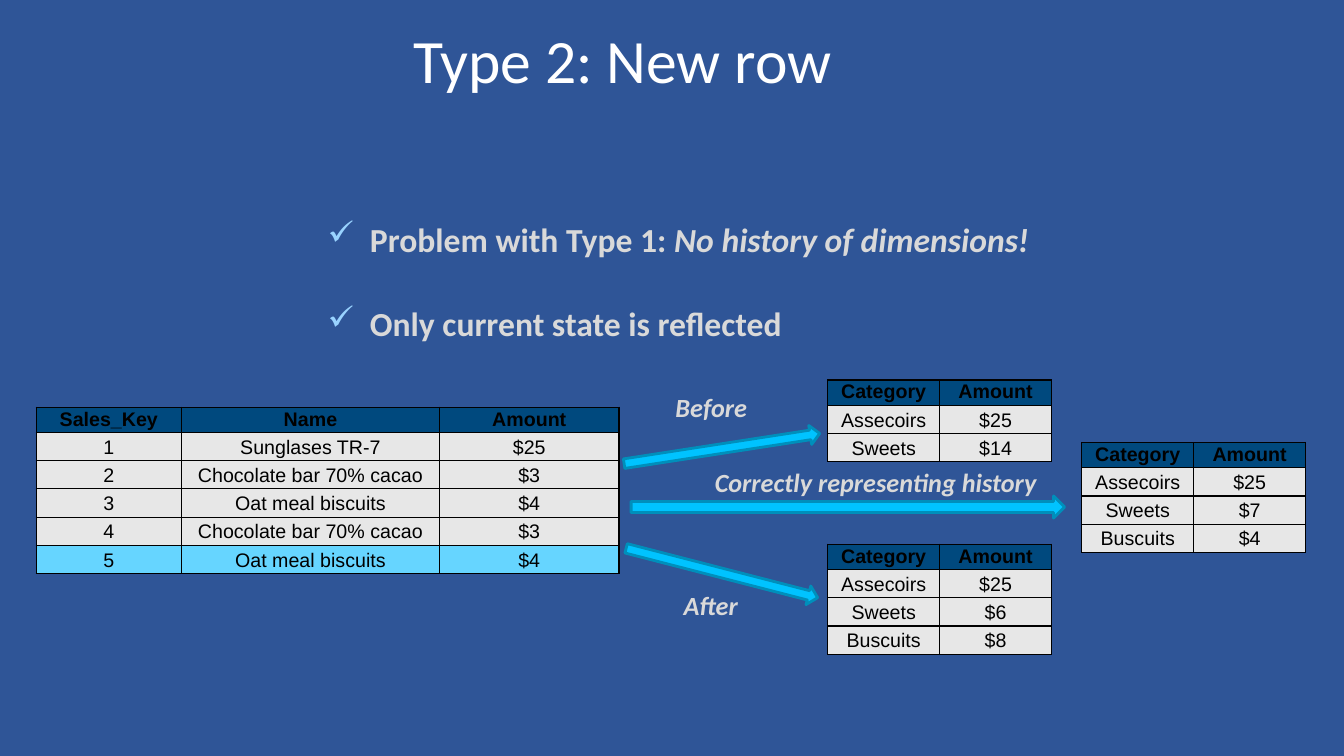
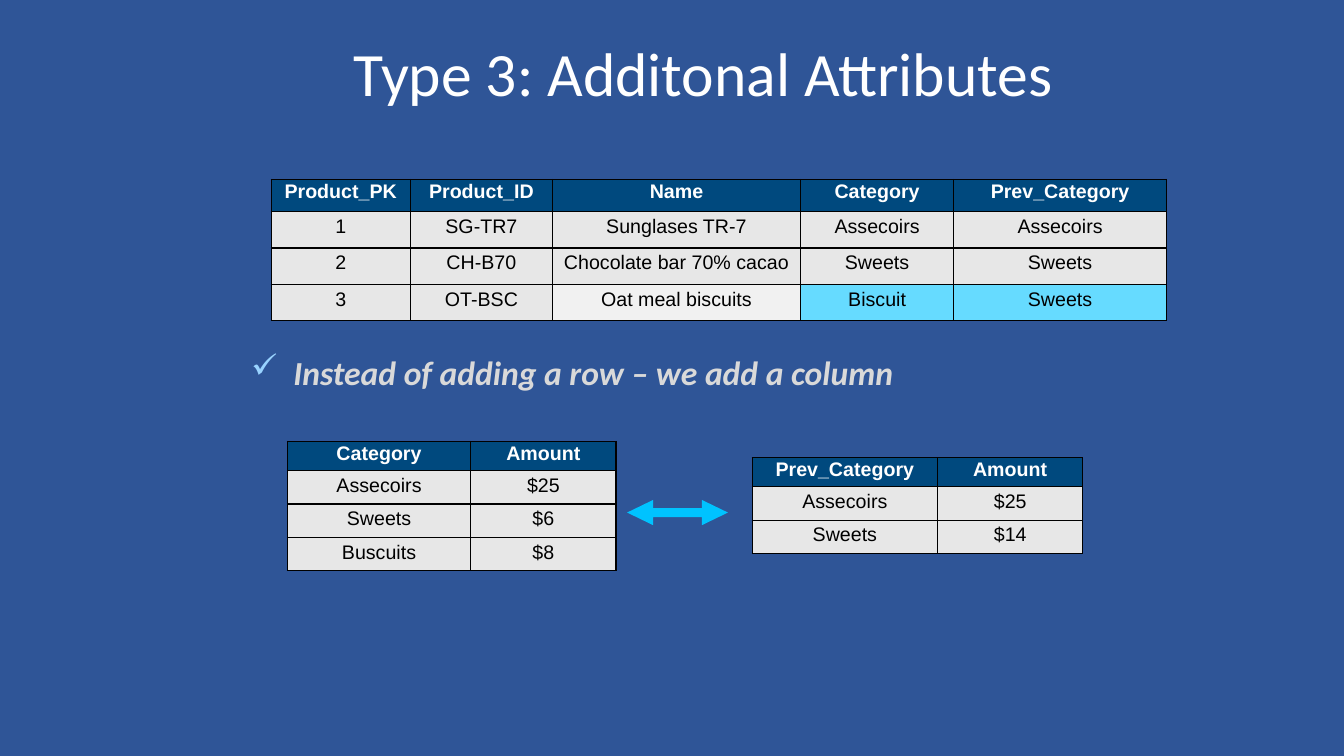
"""Build two slides on slowly changing dimensions: new rows and additional attributes."""
from dataclasses import dataclass, field
from math import atan2, degrees, hypot
from typing import Any, NamedTuple

from lxml.etree import SubElement
from pptx import Presentation
from pptx.dml.color import RGBColor
from pptx.enum.shapes import MSO_SHAPE as Preset
from pptx.enum.text import MSO_ANCHOR as Anchor, PP_ALIGN as Align
from pptx.oxml.ns import qn
from pptx.slide import Slide
from pptx.text.text import TextFrame
from pptx.util import Inches, Pt

BACKDROP = RGBColor(0x2F, 0x55, 0x97)
WHITE = RGBColor(0xFF, 0xFF, 0xFF)
BLACK = RGBColor(0x00, 0x00, 0x00)
SOFT_GREY = RGBColor(0xD9, 0xD9, 0xD9)
HEADER_BLUE = RGBColor(0x00, 0x49, 0x7E)
CELL_GREY = RGBColor(0xE7, 0xE7, 0xE7)
CELL_PALE = RGBColor(0xF1, 0xF1, 0xF1)
NEW_ROW = RGBColor(0x66, 0xD5, 0xFF)
NEW_VALUE = RGBColor(0x66, 0xDB, 0xFF)
ARROW_FILL = RGBColor(0x00, 0xC3, 0xFF)
ARROW_EDGE = RGBColor(0x00, 0x8F, 0xBB)
CHECK_BLUE = RGBColor(0x99, 0xD3, 0xFF)

TITLE_FONT = {"name": "Calibri", "size": Pt(44)}
POINT_FONT = {"name": "Calibri", "size": Pt(24), "bold": True}
LABEL_FONT = {"name": "Calibri", "size": Pt(18.7), "bold": True, "italic": True}
CELL_FONT = {"name": "Arial", "size": Pt(14)}
CELL_EDGES = ("lnL", "lnR", "lnT", "lnB")


class Phrase(NamedTuple):
    """A stretch of a check point, plain or italic."""
    text: str
    italic: bool = False


class Label(NamedTuple):
    """A caption beside an arrow."""
    text: str
    left: float
    top: float
    width: float


class Arrow(NamedTuple):
    """A block arrow between two points."""
    tail: tuple[float, float]
    tip: tuple[float, float]
    breadth: float


@dataclass
class Grid:
    """A table with its place, measures and highlighted cells."""
    left: float
    top: float
    columns: tuple[float, ...]
    header_height: float
    row_height: float
    rows: list[tuple[str, ...]]
    header_color: RGBColor = WHITE
    highlights: dict[tuple[int, int], RGBColor] = field(default_factory=dict)


def set_values(target: Any, values: dict[str, Any]) -> None:
    """Set each named attribute of the target."""
    for name, value in values.items():
        setattr(target, name, value)


def add_text_frame(slide: Slide, left: float, top: float, width: float,
                   height: float, indent: float = 0.02) -> TextFrame:
    """Add a wrapping text box and return its frame."""
    frame = slide.shapes.add_textbox(
        Inches(left), Inches(top), Inches(width), Inches(height)).text_frame
    set_values(frame, {"word_wrap": True, "margin_left": Inches(indent),
                       "margin_top": Inches(0.02), "margin_right": 0,
                       "margin_bottom": 0})
    return frame


def add_title(slide: Slide, text: str, left: float, top: float,
              width: float, indent: float) -> None:
    """Add the slide title."""
    frame = add_text_frame(slide, left, top, width, 0.76, indent)
    frame.vertical_anchor = Anchor.MIDDLE
    title = frame.paragraphs[0]
    title.text = text
    set_values(title.font, TITLE_FONT)
    title.font.color.rgb = WHITE


def add_check_points(slide: Slide, left: float, top: float, width: float,
                     height: float, points: list[list[Phrase]]) -> None:
    """Add a list of points marked with check signs."""
    frame = add_text_frame(slide, left, top, width, height, 0)
    for index, phrases in enumerate(points):
        point = frame.add_paragraph() if index else frame.paragraphs[0]
        properties = point._p.get_or_add_pPr()
        properties.set("marL", str(Inches(0.44)))
        properties.set("indent", str(Inches(-0.42)))
        mark_color = SubElement(properties, qn("a:buClr"))
        SubElement(mark_color, qn("a:srgbClr"), val=str(CHECK_BLUE))
        SubElement(properties, qn("a:buChar"), char="✓")
        if index:
            point.space_before = Pt(31.4)
        for phrase in phrases:
            run = point.add_run()
            run.text = phrase.text
            set_values(run.font, POINT_FONT | {"italic": phrase.italic})
            run.font.color.rgb = SOFT_GREY


def add_label(slide: Slide, label: Label) -> None:
    """Add an arrow caption."""
    frame = add_text_frame(slide, label.left, label.top, label.width, 0.33)
    caption = frame.paragraphs[0]
    caption.text = label.text
    set_values(caption.font, LABEL_FONT)
    caption.font.color.rgb = SOFT_GREY


def add_arrow(slide: Slide, arrow: Arrow) -> None:
    """Add an outlined block arrow turned from its tail to its tip."""
    (tail_x, tail_y), (tip_x, tip_y) = arrow.tail, arrow.tip
    length = hypot(tip_x - tail_x, tip_y - tail_y)
    block = slide.shapes.add_shape(
        Preset.RIGHT_ARROW, Inches((tail_x + tip_x - length) / 2),
        Inches((tail_y + tip_y - arrow.breadth) / 2),
        Inches(length), Inches(arrow.breadth))
    block.rotation = degrees(atan2(tip_y - tail_y, tip_x - tail_x))
    block.shadow.inherit = False
    block.fill.solid()
    block.fill.fore_color.rgb = ARROW_FILL
    block.line.color.rgb = ARROW_EDGE
    block.line.width = Pt(2)


def add_swap_arrow(slide: Slide) -> None:
    """Add the two-headed arrow between the summary tables."""
    swap = slide.shapes.add_shape(Preset.LEFT_RIGHT_ARROW, Inches(6.22),
                                  Inches(4.96), Inches(1), Inches(0.25))
    swap.adjustments[0] = 0.36
    swap.adjustments[1] = 1.03
    swap.shadow.inherit = False
    swap.fill.solid()
    swap.fill.fore_color.rgb = ARROW_FILL
    swap.line.fill.background()


def add_borders(cell: Any) -> None:
    """Draw a thin black line on each side of a cell."""
    properties = cell._tc.get_or_add_tcPr()
    for edge in CELL_EDGES:
        line = SubElement(properties, qn(f"a:{edge}"), w=str(Pt(1)))
        fill = SubElement(line, qn("a:solidFill"))
        SubElement(fill, qn("a:srgbClr"), val=str(BLACK))


def add_grid(slide: Slide, grid: Grid) -> None:
    """Add a table with a header row."""
    heights = [grid.header_height] + [grid.row_height] * (len(grid.rows) - 1)
    table = slide.shapes.add_table(
        len(heights), len(grid.columns), Inches(grid.left), Inches(grid.top),
        Inches(sum(grid.columns)), Inches(sum(heights))).table
    table.horz_banding = False
    for column, width in zip(table.columns, grid.columns):
        column.width = Inches(width)
    for row, height in zip(table.rows, heights):
        row.height = Inches(height)
    for row_index, values in enumerate(grid.rows):
        is_header = row_index == 0
        base_fill = HEADER_BLUE if is_header else CELL_GREY
        for column_index, value in enumerate(values):
            cell = table.cell(row_index, column_index)
            set_values(cell, {"margin_left": 0, "margin_right": 0, "margin_bottom": 0,
                              "margin_top": Inches(0.01 if is_header else 0.04)})
            add_borders(cell)
            cell.fill.solid()
            cell.fill.fore_color.rgb = grid.highlights.get(
                (row_index, column_index), base_fill)
            entry = cell.text_frame.paragraphs[0]
            entry.text = value
            entry.alignment = Align.CENTER
            set_values(entry.font, CELL_FONT | {"bold": is_header})
            entry.font.color.rgb = grid.header_color if is_header else BLACK


def category_grid(left: float, top: float, rows: list[tuple[str, str]]) -> Grid:
    """Describe a small table of amounts by category."""
    return Grid(left, top, (1.11, 1.11), 0.25, 0.28,
                [("Category", "Amount"), *rows], BLACK)


def build_new_row(slide: Slide) -> None:
    """Fill the slide on adding a new row."""
    sales = Grid(0.36, 4.04, (1.44, 2.56, 1.78), 0.25, 0.28, [
        ("Sales_Key", "Name", "Amount"),
        ("1", "Sunglases TR-7", "$25"),
        ("2", "Chocolate bar 70% cacao", "$3"),
        ("3", "Oat meal biscuits", "$4"),
        ("4", "Chocolate bar 70% cacao", "$3"),
        ("5", "Oat meal biscuits", "$4"),
    ], BLACK, {(5, column): NEW_ROW for column in range(3)})
    before = category_grid(8.21, 3.77, [("Assecoirs", "$25"), ("Sweets", "$14")])
    after = category_grid(8.21, 5.4, [
        ("Assecoirs", "$25"), ("Sweets", "$6"), ("Buscuits", "$8")])
    history = category_grid(10.73, 4.39, [
        ("Assecoirs", "$25"), ("Sweets", "$7"), ("Buscuits", "$4")])

    add_title(slide, "Type 2: New row", 4.08, 0.19, 5.83, 0.02)
    add_check_points(slide, 3.23, 2.15, 7.07, 1.3, [
        [Phrase("Problem with Type 1: "), Phrase("No history of dimensions!", True)],
        [Phrase("Only current state is reflected")],
    ])
    for grid in (sales, before, after, history):
        add_grid(slide, grid)
    for arrow in (Arrow((6.19, 4.6), (8.13, 4.3), 0.19),
                  Arrow((6.26, 5.03), (10.56, 5.03), 0.22),
                  Arrow((6.21, 5.44), (8.11, 5.93), 0.19)):
        add_arrow(slide, arrow)
    for label in (Label("Before", 6.68, 3.86, 0.8),
                  Label("Correctly representing history", 7.07, 4.61, 3.3),
                  Label("After", 6.76, 5.83, 0.8)):
        add_label(slide, label)


def build_additional_attributes(slide: Slide) -> None:
    """Fill the slide on adding a column."""
    products = Grid(2.69, 1.78, (1.38, 1.41, 2.46, 1.52, 2.11), 0.32, 0.36, [
        ("Product_PK", "Product_ID", "Name", "Category", "Prev_Category"),
        ("1", "SG-TR7", "Sunglases TR-7", "Assecoirs", "Assecoirs"),
        ("2", "CH-B70", "Chocolate bar 70% cacao", "Sweets", "Sweets"),
        ("3", "OT-BSC", "Oat meal biscuits", "Biscuit", "Sweets"),
    ], highlights={(3, 2): CELL_PALE, (3, 3): NEW_VALUE, (3, 4): NEW_VALUE})
    current = Grid(2.85, 4.38, (1.82, 1.44), 0.29, 0.33, [
        ("Category", "Amount"), ("Assecoirs", "$25"),
        ("Sweets", "$6"), ("Buscuits", "$8")])
    previous = Grid(7.46, 4.54, (1.84, 1.44), 0.29, 0.33, [
        ("Prev_Category", "Amount"), ("Assecoirs", "$25"), ("Sweets", "$14")])

    add_title(slide, "Type 3: Additonal Attributes", 2.84, 0.32, 8.21, 0.67)
    add_check_points(slide, 2.47, 3.47, 6.43, 0.42, [
        [Phrase("Instead of adding a row – we add a column", True)]])
    for grid in (products, current, previous):
        add_grid(slide, grid)
    add_swap_arrow(slide)


def main() -> None:
    """Build and save the presentation."""
    deck = Presentation()
    deck.slide_width, deck.slide_height = Inches(13.33), Inches(7.5)
    backdrop = deck.slide_master.background.fill
    backdrop.solid()
    backdrop.fore_color.rgb = BACKDROP
    blank = deck.slide_layouts[6]
    for build in (build_new_row, build_additional_attributes):
        build(deck.slides.add_slide(blank))
    deck.save("out.pptx")


if __name__ == "__main__":
    main()
